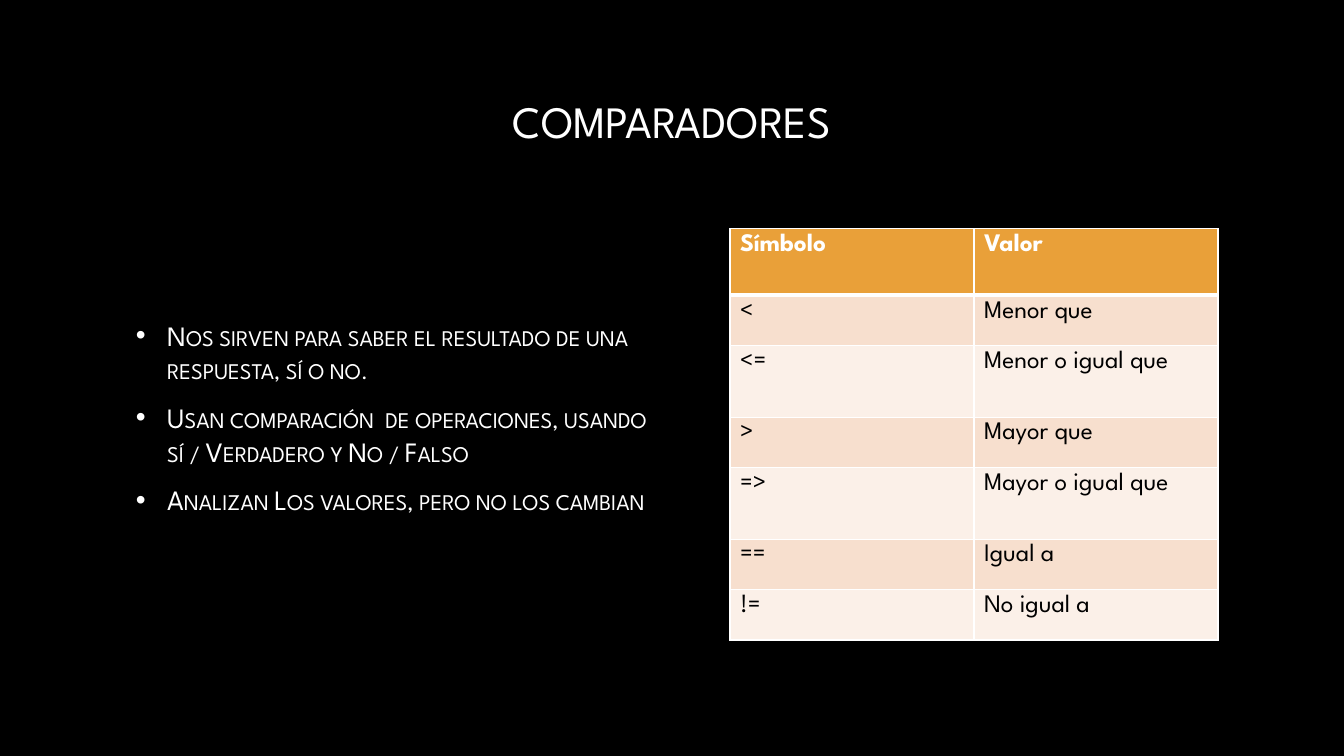
from lxml import etree
from pptx import Presentation
from pptx.dml.color import RGBColor
from pptx.enum.text import MSO_ANCHOR as ANCHOR, PP_ALIGN as ALIGN
from pptx.oxml.ns import qn
from pptx.util import Inches, Pt

WHITE, BLACK, ORANGE = "FFFFFF", "000000", "E9A039"
BANDS = ("F7DFCE", "FBF0E8")
POINTS = (
    "Nos sirven para saber el resultado de una respuesta, sí o no.",
    "Usan comparación  de operaciones, usando sí / Verdadero y No / Falso",
    "Analizan Los valores, pero no los cambian",
)
COMPARATORS = (
    ("Símbolo", "Valor"),
    ("<", "Menor que"),
    ("<=", "Menor o igual que"),
    (">", "Mayor que"),
    ("=>", "Mayor o igual que"),
    ("==", "Igual a"),
    ("!=", "No igual a"),
)
ROW_HEIGHTS = (0.66, 0.5, 0.71, 0.5, 0.71, 0.5, 0.5)


def rgb(color):
    return RGBColor.from_string(color)


class Deck:
    """Holds the text style and the current slide, and adds elements to it."""

    def __init__(self, prs, font):
        self.font = font
        self.s = prs.slides.add_slide(prs.slide_layouts[6])

    def background(self, color):
        fill = self.s.background.fill
        fill.solid()
        fill.fore_color.rgb = rgb(color)

    def format(self, p, size, color, bold=False):
        for r in p.runs:
            r.font.name = self.font
            r.font.size = Pt(size)
            r.font.bold = bold
            r.font.color.rgb = rgb(color)

    def text(self, x, y, w, h, text, size, color):
        sp = self.s.shapes.add_textbox(Inches(x), Inches(y), Inches(w), Inches(h))
        tf = sp.text_frame
        tf.word_wrap = True
        tf.vertical_anchor = ANCHOR.MIDDLE
        tf.text = text
        for p in tf.paragraphs:
            self.format(p, size, color)
        return tf

    def title(self, x, y, w, h, text, size, color):
        tf = self.text(x, y, w, h, text, size, color)
        tf.paragraphs[0].alignment = ALIGN.CENTER

    def bullets(self, x, y, w, h, items, size, color):
        tf = self.text(x, y, w, h, "\n".join(items), size, color)
        for p in tf.paragraphs:
            p.space_before = Pt(4.7)
            p.space_after = Pt(6)
            pPr = p._p.get_or_add_pPr()
            pPr.set("marL", str(Inches(0.31)))
            pPr.set("indent", str(-Inches(0.31)))
            tint = etree.SubElement(pPr, qn("a:buClr"))
            etree.SubElement(tint, qn("a:srgbClr"), val=color)
            etree.SubElement(pPr, qn("a:buFont"), typeface="Arial")
            etree.SubElement(pPr, qn("a:buChar"), char="•")
            for r in p.runs:
                r._r.get_or_add_rPr().set("cap", "small")

    def border(self, cell, side, width, color):
        ln = etree.SubElement(cell._tc.get_or_add_tcPr(), qn(f"a:ln{side}"), w=str(Pt(width)))
        fill = etree.SubElement(ln, qn("a:solidFill"))
        etree.SubElement(fill, qn("a:srgbClr"), val=color)

    def cell(self, cell, text, size, header, fill, widths):
        cell.text = text
        self.format(cell.text_frame.paragraphs[0], size, WHITE if header else BLACK, header)
        for side, width in widths.items():
            self.border(cell, side, width, WHITE)
        cell.fill.solid()
        cell.fill.fore_color.rgb = rgb(fill)

    def table(self, x, y, w, rows, heights, size):
        shape = self.s.shapes.add_table(
            len(rows), len(rows[0]), Inches(x), Inches(y), Inches(w), Inches(sum(heights)))
        table = shape.table
        for i, (row, height) in enumerate(zip(rows, heights)):
            table.rows[i].height = Inches(height)
            fill = BANDS[(i - 1) % 2] if i else ORANGE
            widths = {"L": 1, "R": 1, "T": 3 if i == 1 else 1, "B": 1 if i else 3}
            for j, text in enumerate(row):
                self.cell(table.cell(i, j), text, size, i == 0, fill, widths)


def main():
    prs = Presentation()
    prs.slide_width, prs.slide_height = Inches(13.33), Inches(7.5)
    deck = Deck(prs, "League Spartan")
    deck.background(BLACK)
    deck.title(1.25, 0.67, 10.83, 1.05, "COMPARADORES", 32, WHITE)
    deck.bullets(1.25, 1.94, 5.42, 4.4, POINTS, 20, WHITE)
    deck.table(7.24, 2.27, 4.84, COMPARATORS, ROW_HEIGHTS, 18)
    prs.save("out.pptx")


if __name__ == "__main__":
    main()
